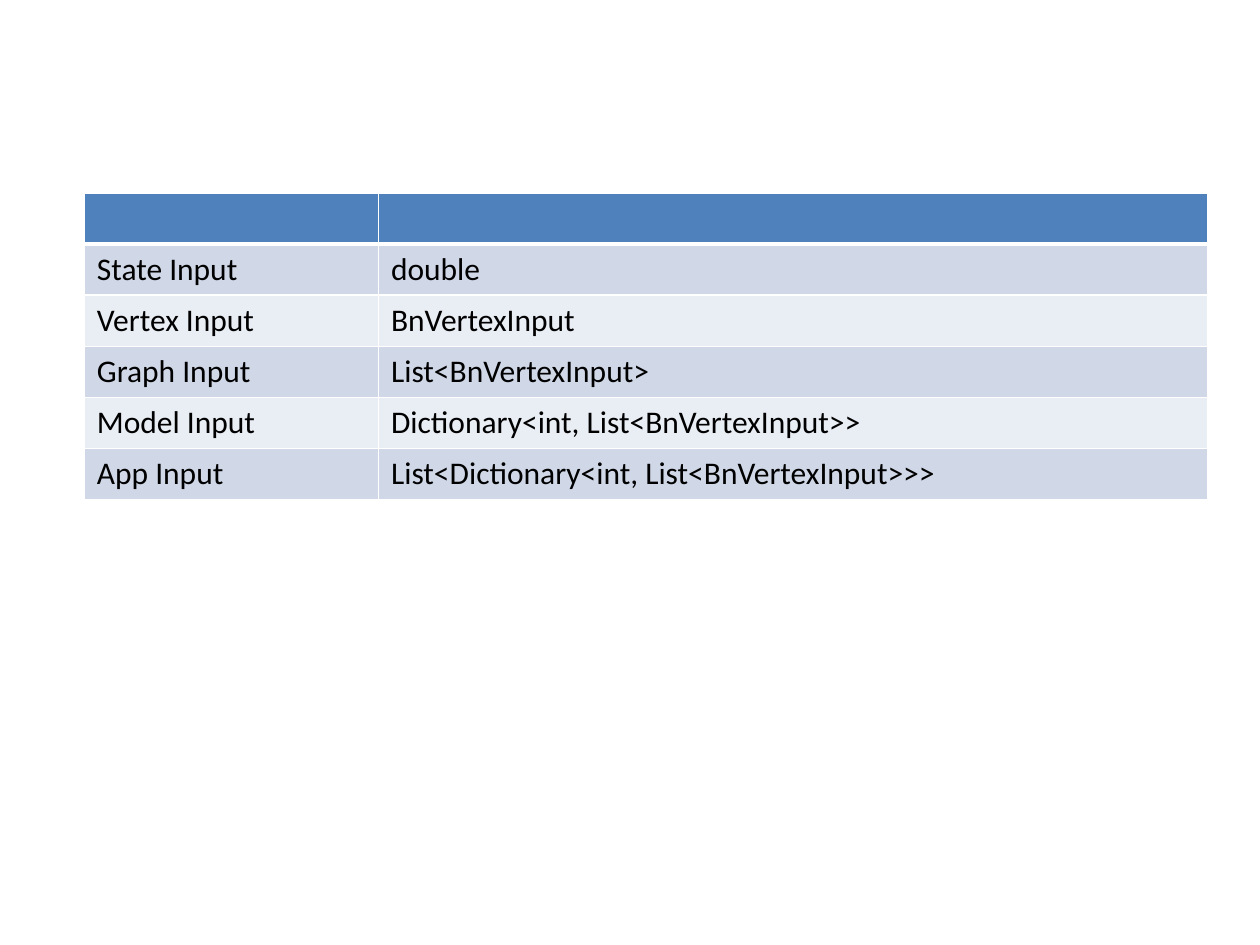
from lxml.etree import SubElement
from pptx import Presentation
from pptx.dml.color import RGBColor
from pptx.oxml.ns import qn
from pptx.util import Cm, Pt

COLORS = {
    "header": "4F81BD",
    "odd_band": "D0D8E8",
    "even_band": "E9EDF4",
    "border": "FFFFFF",
    "text": "000000",
}

INPUT_TYPES = [
    ("", ""),
    ("State Input", "double"),
    ("Vertex Input", "BnVertexInput"),
    ("Graph Input", "List<BnVertexInput>"),
    ("Model Input", "Dictionary<int, List<BnVertexInput>>"),
    ("App Input", "List<Dictionary<int, List<BnVertexInput>>>"),
]


class SlideBuilder:
    font_name = "Calibri"
    font_size = Pt(18)
    thin_border = Pt(1)
    header_border = Pt(3)

    def __init__(self, slide):
        self.slide = slide

    def add_table(self, rows, left, top, column_widths, row_height):
        frame = self.slide.shapes.add_table(
            len(rows), len(column_widths), left, top,
            sum(column_widths), row_height * len(rows))
        table = frame.table
        for column, width in zip(table.columns, column_widths):
            column.width = width
        for row_index, texts in enumerate(rows):
            table.rows[row_index].height = row_height
            for column_index, text in enumerate(texts):
                self.format_cell(table.cell(row_index, column_index), text, row_index)

    def format_cell(self, cell, text, row_index):
        self.add_borders(cell, row_index)
        if row_index == 0:
            fill_name = "header"
        else:
            fill_name = "odd_band" if row_index % 2 else "even_band"
        cell.fill.solid()
        cell.fill.fore_color.rgb = RGBColor.from_string(COLORS[fill_name])
        paragraph = cell.text_frame.paragraphs[0]
        paragraph.font.size = self.font_size
        if text:
            paragraph.text = text
        for run in paragraph.runs:
            run.font.name = self.font_name
            run.font.size = self.font_size
            run.font.color.rgb = RGBColor.from_string(COLORS["text"])

    def add_borders(self, cell, row_index):
        properties = cell._tc.get_or_add_tcPr()
        widths = {
            "a:lnL": self.thin_border,
            "a:lnR": self.thin_border,
            "a:lnT": self.header_border if row_index == 1 else self.thin_border,
            "a:lnB": self.header_border if row_index == 0 else self.thin_border,
        }
        for tag, width in widths.items():
            line = SubElement(properties, qn(tag), w=str(int(width)))
            fill = SubElement(line, qn("a:solidFill"))
            SubElement(fill, qn("a:srgbClr"), val=COLORS["border"])


def main():
    presentation = Presentation()
    presentation.slide_width = Cm(25.4)
    presentation.slide_height = Cm(19.05)
    slide = presentation.slides.add_slide(presentation.slide_layouts[6])
    builder = SlideBuilder(slide)
    builder.add_table(
        INPUT_TYPES, left=Cm(1.7), top=Cm(3.89),
        column_widths=[Cm(5.93), Cm(16.72)], row_height=Cm(1.03))
    presentation.save("out.pptx")


if __name__ == "__main__":
    main()
